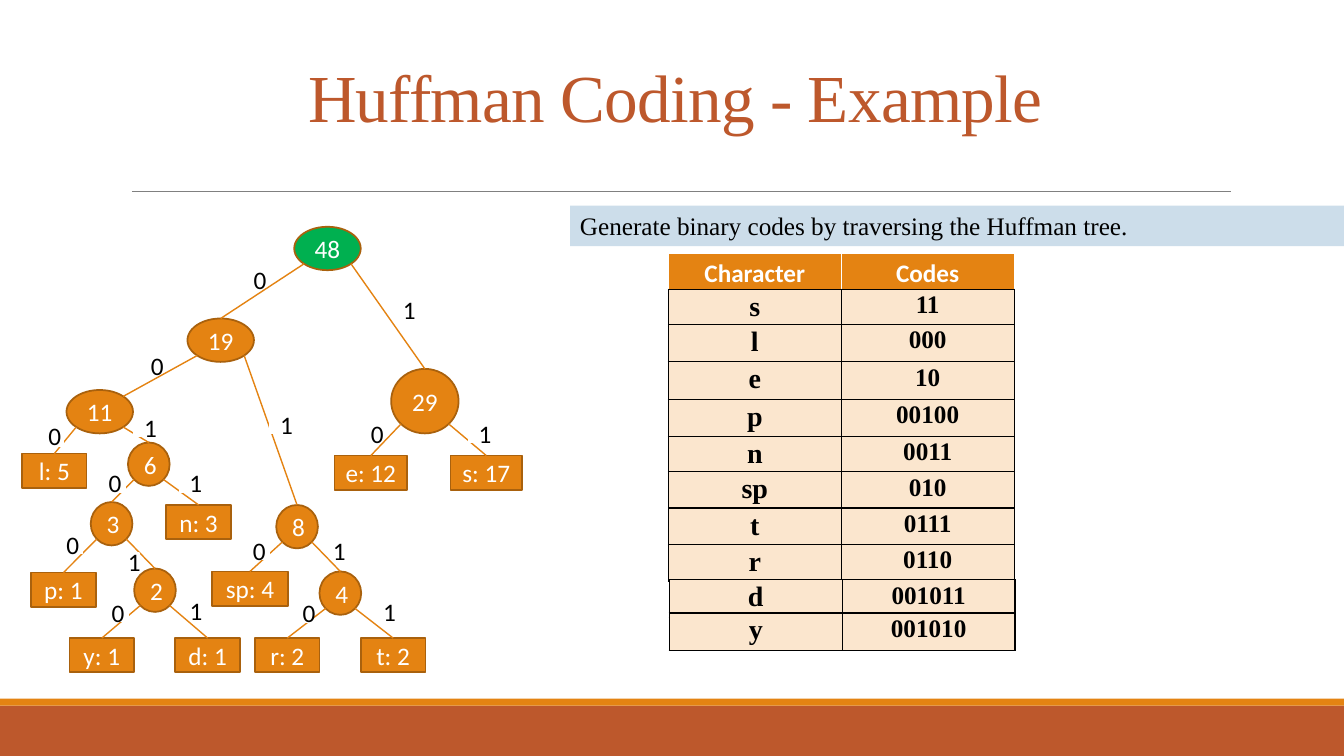
from math import sqrt

from lxml import etree
from pptx import Presentation
from pptx import util as u
from pptx.dml.color import RGBColor
from pptx.enum import shapes, text
from pptx.oxml import ns

ORANGE, RUST, BROWN, GREEN = "E48312", "BD582C", "A9610D", "00B050"
WHITE, BLACK, GREY, SKY, CREAM = "FFFFFF", "000000", "808080", "CCDDEA", "FBE6CE"
SERIF, SANS = "Times New Roman", "Calibri"
CENTER = text.PP_ALIGN.CENTER

LEAF, ROUND, OVAL = (46.1, 24.5), (29.8, 31), (47.5, 31)
WIDE, SMALL = (18.7, 13), (8.6, 10.8)

ROOT = "48"
NODES = {
    "48": (210.2, 162, *OVAL),
    "19": (133.9, 227.5, *OVAL),
    "29": (279.4, 263.5, 48.2, 46.1),
    "11": (47.5, 278.6, *OVAL),
    "8": (197.3, 360.7, *ROUND),
    "l: 5": (15.8, 324, *LEAF),
    "6": (91.4, 316.1, *ROUND),
    "3": (64.8, 358.6, *ROUND),
    "n: 3": (118.8, 360.7, *LEAF),
    "p: 1": (22.3, 409, *LEAF),
    "2": (95.8, 406.1, *ROUND),
    "y: 1": (49.7, 455.8, *LEAF),
    "d: 1": (125.3, 455.8, *LEAF),
    "sp: 4": (151.2, 408.2, 54.7, 24.5),
    "4": (228.2, 408.2, *ROUND),
    "r: 2": (182.2, 455.8, *LEAF),
    "t: 2": (257.8, 455.8, *LEAF),
    "e: 12": (239, 325.4, 51.8, 24.5),
    "s: 17": (321.8, 325.4, 51.1, 24.5),
}

# parent, child, bit (0 goes left, 1 goes right), box of the bit
EDGES = [
    ("48", "19", 0, (174.2, 193, 16.6, 13)),
    ("48", "29", 1, (280.8, 214.6, *WIDE)),
    ("19", "11", 0, (100.8, 254.2, 16.6, 13)),
    ("19", "8", 1, (193, 296.6, *WIDE)),
    ("11", "l: 5", 0, (27.4, 302.4, 18, 16.6)),
    ("11", "6", 1, (95.8, 298.8, *WIDE)),
    ("6", "3", 0, (70.6, 338.4, *WIDE)),
    ("6", "n: 3", 1, (128.2, 338.4, *WIDE)),
    ("3", "p: 1", 0, (40.3, 382.3, *WIDE)),
    ("3", "2", 1, (84.2, 395.3, 15.1, 11.5)),
    ("2", "y: 1", 0, (72.7, 430.6, *WIDE)),
    ("2", "d: 1", 1, (133.9, 430.6, *SMALL)),
    ("8", "sp: 4", 0, (173.5, 386.6, *WIDE)),
    ("8", "4", 1, (236.2, 387.4, *SMALL)),
    ("4", "r: 2", 0, (211.7, 430.6, 11.5, 13.7)),
    ("4", "t: 2", 1, (272.2, 431.3, *SMALL)),
    ("29", "e: 12", 0, (257.8, 302.4, 14.4, 13.7)),
    ("29", "s: 17", 1, (334.8, 303.1, *WIDE)),
]
BITS_BEHIND = ("19", "11")

# character, code, left, top; "e" lies over its neighbours
CODES = [
    ("s", "11", 477.4, 206.6),
    ("l", "000", 477.4, 231.8),
    ("p", "00100", 477.4, 285.1),
    ("n", "0011", 477.4, 311.8),
    ("sp", "010", 477.4, 337),
    ("t", "0111", 477.4, 362.9),
    ("r", "0110", 477.4, 388.8),
    ("d", "001011", 478.1, 414),
    ("y", "001010", 478.1, 437.8),
    ("e", "10", 477.4, 258.5),
]


def rgb(hex_color):
    return RGBColor.from_string(hex_color)


def pts(*lengths):
    return [u.Pt(length) for length in lengths]


def assign(target, values):
    for key, value in values.items():
        setattr(target, key, value)


def corner(box, right, low):
    """Point at 45 degrees on the ellipse inside the box."""
    x, y, w, h = box
    across, down = (1 if right else -1), (1 if low else -1)
    return x + w / 2 * (1 + across / sqrt(2)), y + h / 2 * (1 + down / sqrt(2))


class Board:
    def __init__(self, slide):
        self.slide = slide

    def add_words(self, frame, words, size=18, font=SANS, color=WHITE, bold=False, align=CENTER):
        paragraph = frame.paragraphs[0]
        paragraph.alignment = align
        run = paragraph.add_run()
        run.text = words
        assign(run.font, {"size": u.Pt(size), "name": font, "bold": bold})
        run.font.color.rgb = rgb(color)
        return paragraph

    def title(self, words, box):
        holder = self.slide.shapes.title
        assign(holder, dict(zip(("left", "top", "width", "height"), pts(*box))))
        assign(holder.text_frame, {"auto_size": text.MSO_AUTO_SIZE.NONE, "word_wrap": True,
                                   "vertical_anchor": text.MSO_ANCHOR.BOTTOM})
        heading = self.add_words(holder.text_frame, words, 48, SERIF, RUST)
        heading.line_spacing = 0.85
        heading.runs[0].font._element.set("spc", "-50")

    def shape(self, box, fill, line=None, words=None, kind=shapes.MSO_SHAPE.RECTANGLE, **style):
        item = self.slide.shapes.add_shape(kind, *pts(*box))
        item.shadow.inherit = False
        item.fill.solid()
        item.fill.fore_color.rgb = rgb(fill)
        if line:
            item.line.color.rgb = rgb(line)
            item.line.width = u.Pt(1.25)
        else:
            item.line.fill.background()
        if words:
            self.add_words(item.text_frame, words, **style)
        return item

    def line(self, start, end, color, width):
        link = self.slide.shapes.add_connector(shapes.MSO_CONNECTOR.STRAIGHT, *pts(*start, *end))
        link.line.color.rgb = rgb(color)
        link.line.width = u.Pt(width)
        etree.SubElement(link._element.spPr, ns.qn("a:effectLst"))
        return link

    def bit(self, digit, box):
        self.shape(box, WHITE, WHITE, str(digit), color=BLACK)

    def row(self, left, top, words, fill, borders, styles, margins=None):
        """One-row table; borders maps the sides L, R, T and B to colours."""
        grid = self.slide.shapes.add_table(1, len(words), *pts(left, top, 247, 26.6)).table
        for cell, label, style in zip(grid.rows[0].cells, words, styles):
            assign(cell, margins or {})
            cell.fill.solid()
            cell.fill.fore_color.rgb = rgb(fill)
            self.add_words(cell.text_frame, label, bold=True, **style)
            props = cell._tc.get_or_add_tcPr()
            for place, (side, color) in enumerate(borders.items()):
                edge = etree.Element(ns.qn(f"a:ln{side}"), w=str(u.Pt(1)))
                solid = etree.SubElement(edge, ns.qn("a:solidFill"))
                etree.SubElement(solid, ns.qn("a:srgbClr"), val=color)
                props.insert(place, edge)


def draw_tree(board):
    for _, child, digit, box in EDGES:
        if child in BITS_BEHIND:
            board.bit(digit, box)
    drawn = {}
    for name, box in NODES.items():
        kind = shapes.MSO_SHAPE.RECTANGLE if ":" in name else shapes.MSO_SHAPE.FLOWCHART_CONNECTOR
        drawn[name] = board.shape(box, GREEN if name == ROOT else ORANGE, BROWN, name, kind)
    for parent, child, digit, _ in EDGES:
        start = corner(NODES[child], right=True, low=False)
        link = board.line(start, corner(NODES[parent], right=digit, low=True), ORANGE, 1)
        if child != "11":
            link.begin_connect(drawn[child], 0)
    for _, child, digit, box in EDGES:
        if child not in BITS_BEHIND:
            board.bit(digit, box)


def draw_codes(board):
    board.row(477.4, 180.7, ("Character", "Codes"), ORANGE,
              {"L": WHITE, "R": WHITE, "T": WHITE, "B": BLACK}, [{}, {}])
    margins = dict(zip(("margin_left", "margin_top", "margin_right", "margin_bottom"),
                       pts(2.2, 1.4, 2.2, 1.4)))
    styles = [{"size": size, "font": SERIF, "color": BLACK} for size in (20, 18)]
    for character, code, left, top in CODES:
        board.row(left, top, (character, code), CREAM, dict.fromkeys("LRTB", BLACK), styles, margins)


def main():
    deck = Presentation()
    deck.slide_width, deck.slide_height = pts(960, 540)
    board = Board(deck.slides.add_slide(deck.slide_layouts[5]))
    board.shape((0, 504, 960, 36), RUST)
    board.shape((0, 499, 960, 5), ORANGE)
    board.line((94.3, 136.8), (879.1, 136.8), GREY, 0.5)
    board.title("Huffman Coding - Example", (86.4, 36, 792, 64.8))
    task = board.shape((407.2, 146.9, 552.8, 29), SKY,
                       words="Generate binary codes by traversing the Huffman tree.",
                       font=SERIF, color=BLACK, align=text.PP_ALIGN.JUSTIFY)
    assign(task.text_frame, {"vertical_anchor": text.MSO_ANCHOR.TOP,
                             "auto_size": text.MSO_AUTO_SIZE.SHAPE_TO_FIT_TEXT})
    draw_tree(board)
    draw_codes(board)
    deck.save("out.pptx")


if __name__ == "__main__":
    main()
